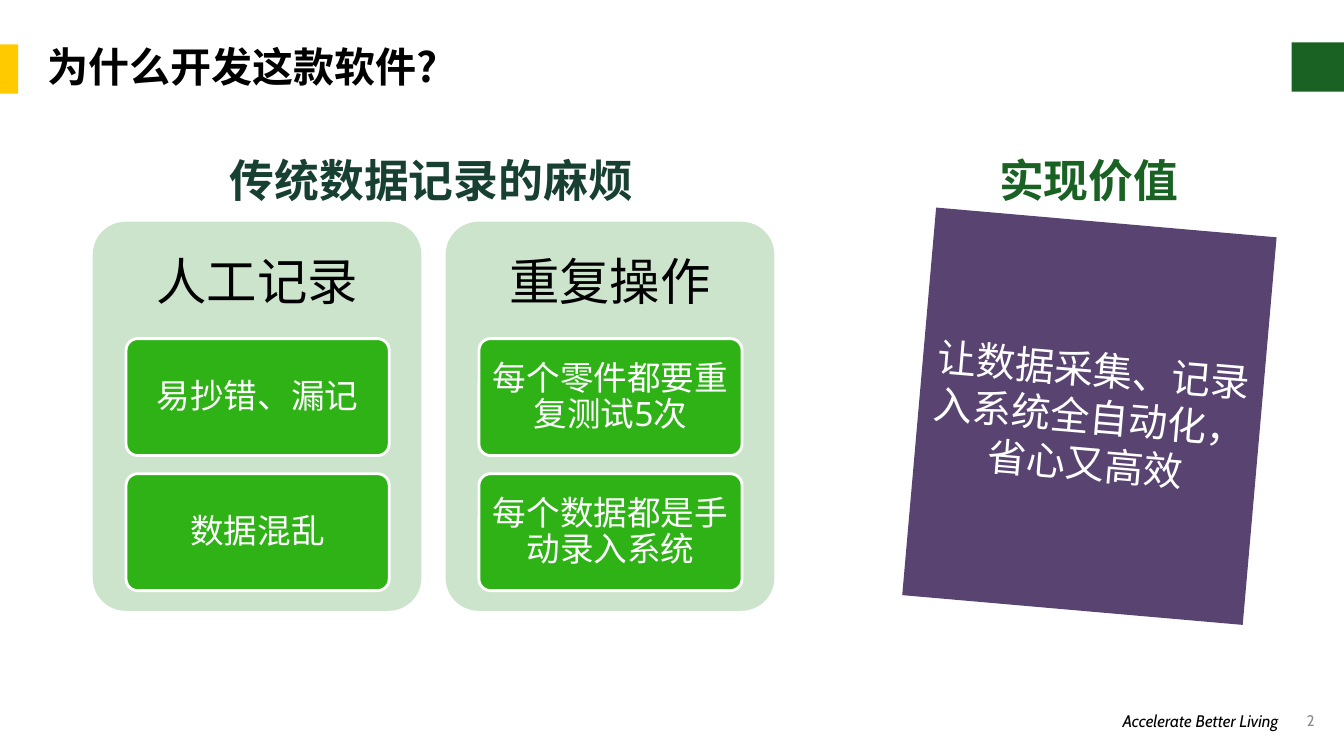
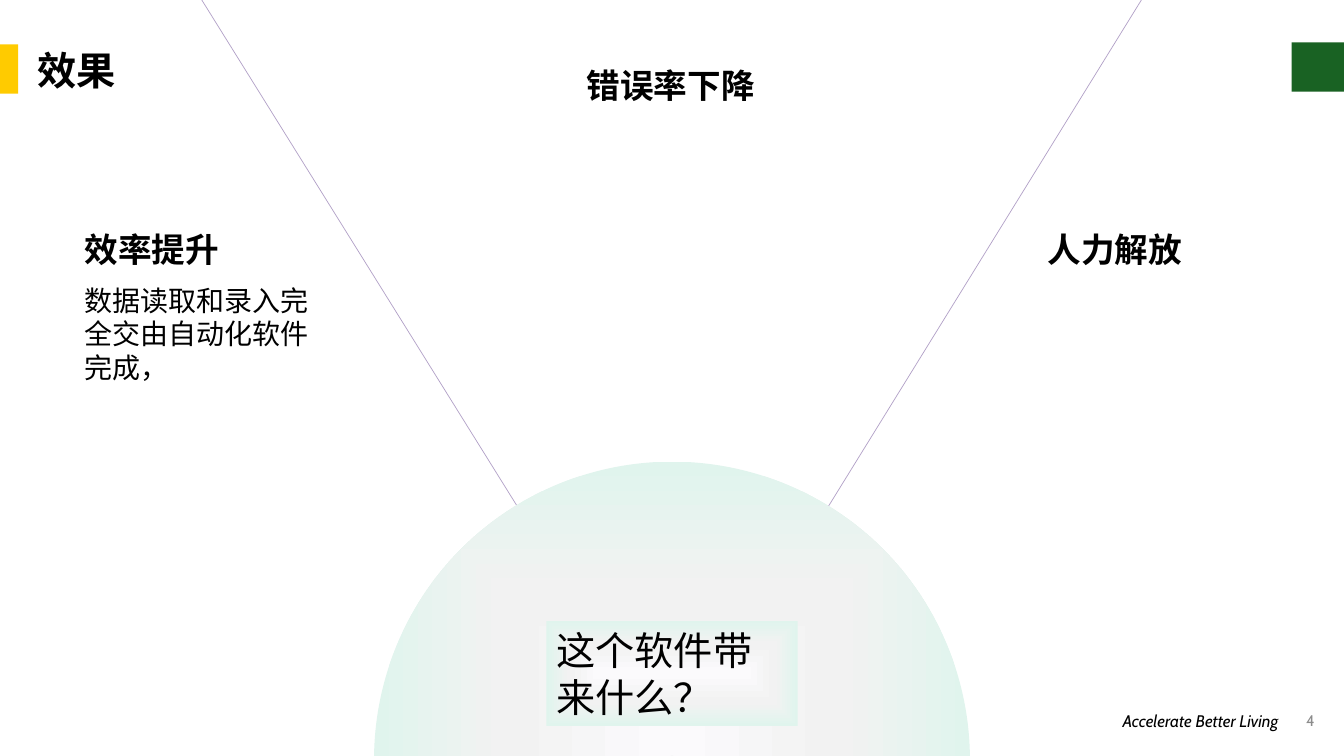
from dataclasses import dataclass

from lxml.etree import SubElement
from pptx import Presentation
from pptx.dml.color import RGBColor
from pptx.enum.shapes import MSO_SHAPE as Preset
from pptx.enum.text import MSO_ANCHOR as Anchor, MSO_AUTO_SIZE as AutoSize, PP_ALIGN as Align
from pptx.oxml import parse_xml
from pptx.oxml.ns import nsdecls, qn
from pptx.shapes.autoshape import Shape
from pptx.slide import Slide
from pptx.util import Inches, Pt

CJK_FONT = "Noto Sans CJK SC"
CARD_FONT = "Noto Sans"
FOOTER_FONT = "Cabin"

COLORS = {
    "black": "000000",
    "white": "FFFFFF",
    "yellow": "FFCB00",
    "green": "196223",
    "dark_green": "174033",
    "card": "2EB216",
    "panel": "CDE4CC",
    "purple": "584371",
    "lilac": "B2A1C7",
    "gray": "8C8C8C",
}
GLOW_STOPS = ((0, "FBFAFC"), (56, "F2F2F2"), (100, "E0F4ED"))


@dataclass(frozen=True)
class Box:
    left: float
    top: float
    width: float
    height: float

    def lengths(self) -> tuple[int, int, int, int]:
        return (Inches(self.left), Inches(self.top),
                Inches(self.width), Inches(self.height))


@dataclass(frozen=True)
class TextStyle:
    size: float
    color: str = "black"
    font: str = CJK_FONT
    bold: bool = False
    italic: bool = False
    align: Align = Align.LEFT
    anchor: Anchor = Anchor.TOP
    inset_x: float = 0.1
    inset_y: float = 0.05
    wrap: bool = True
    leading: float = 1.2


@dataclass(frozen=True)
class Panel:
    heading: str
    items: tuple[str, ...]


@dataclass(frozen=True)
class Label:
    text: str
    box: Box
    style: TextStyle


PANEL_HEADING = TextStyle(36, font=CARD_FONT, align=Align.CENTER, anchor=Anchor.MIDDLE,
                          inset_x=0.15, inset_y=0.15)
CARD_TEXT = TextStyle(24, "white", CARD_FONT, align=Align.CENTER, anchor=Anchor.MIDDLE,
                      inset_x=0.07, leading=1.08)
VALUE_TEXT = TextStyle(28, "white", align=Align.CENTER, anchor=Anchor.MIDDLE)
EFFECT_HEADING = TextStyle(24, bold=True, wrap=False)
SLOGAN = TextStyle(12, font=FOOTER_FONT, italic=True, align=Align.RIGHT,
                   anchor=Anchor.MIDDLE, inset_x=0, inset_y=0)
PAGE_NUMBER = TextStyle(11, "gray", FOOTER_FONT, align=Align.RIGHT,
                        anchor=Anchor.MIDDLE, inset_x=0, inset_y=0.07)

PANELS = (
    Panel("人工记录", ("易抄错、漏记", "数据混乱")),
    Panel("重复操作", ("每个零件都要重复测试5次", "每个数据都是手动录入系统")),
)
REASON_HEADINGS = (
    Label("传统数据记录的麻烦", Box(2.18, 1.47, 4.24, 0.64),
          TextStyle(32, "dark_green", bold=True, wrap=False)),
    Label("实现价值", Box(9.8, 1.47, 2, 0.64),
          TextStyle(32, "green", bold=True, align=Align.CENTER, wrap=False)),
)
EFFECTS = (
    Label("效率提升", Box(0.74, 2.22, 1.55, 0.5), EFFECT_HEADING),
    Label("错误率下降", Box(5.72, 0.59, 1.88, 0.5), EFFECT_HEADING),
    Label("人力解放", Box(10.29, 2.22, 1.55, 0.5), EFFECT_HEADING),
    Label("数据读取和录入完全交由自动化软件完成，", Box(0.74, 2.76, 2.44, 1.11), TextStyle(20)),
)


def color(name: str) -> RGBColor:
    return RGBColor.from_string(COLORS[name])


def write(shape: Shape, text: str, style: TextStyle) -> None:
    frame = shape.text_frame
    frame.auto_size = AutoSize.NONE
    frame.word_wrap = style.wrap
    frame.vertical_anchor = style.anchor
    frame.margin_left = frame.margin_right = Inches(style.inset_x)
    frame.margin_top = frame.margin_bottom = Inches(style.inset_y)
    paragraph = frame.paragraphs[0]
    paragraph.text = text
    paragraph.alignment = style.align
    paragraph.line_spacing = Pt(style.size * style.leading)
    font = paragraph.font
    font.name = style.font
    font.size = Pt(style.size)
    font.bold = style.bold
    font.italic = style.italic
    font.color.rgb = color(style.color)
    defaults = paragraph._p.pPr.find(qn("a:defRPr"))
    SubElement(defaults, qn("a:ea")).set("typeface", CJK_FONT)


def add_text(slide: Slide, label: Label) -> None:
    write(slide.shapes.add_textbox(*label.box.lengths()), label.text, label.style)


def add_shape(slide: Slide, preset: Preset, box: Box, fill: str | None = None,
              line: str | None = None, line_width: float = 1,
              adjustment: float | None = None) -> Shape:
    shape = slide.shapes.add_shape(preset, *box.lengths())
    shape.shadow.inherit = False
    if fill:
        shape.fill.solid()
        shape.fill.fore_color.rgb = color(fill)
    if line:
        shape.line.color.rgb = color(line)
        shape.line.width = Pt(line_width)
    else:
        shape.line.fill.background()
    if adjustment is not None:
        shape.adjustments[0] = adjustment
    return shape


def add_glow(shape: Shape) -> None:
    """Fill the shape with a gradient that runs from its centre to its edges."""
    stops = "".join(
        f'<a:gs pos="{position * 1000}"><a:srgbClr val="{value}"/></a:gs>'
        for position, value in GLOW_STOPS
    )
    gradient = parse_xml(
        f'<a:gradFill {nsdecls("a")} rotWithShape="1"><a:gsLst>{stops}</a:gsLst>'
        '<a:path path="shape"><a:fillToRect l="50000" t="50000" r="50000" b="50000"/>'
        "</a:path></a:gradFill>"
    )
    shape.fill.background()
    properties = shape._element.spPr
    properties.replace(properties.find(qn("a:noFill")), gradient)


def add_slide(presentation: Presentation, number: int) -> Slide:
    """Add a title-only slide with the edge bands and the footer."""
    slide = presentation.slides.add_slide(presentation.slide_layouts[5])
    add_shape(slide, Preset.RECTANGLE, Box(0, 0.44, 0.18, 0.49), "yellow")
    add_shape(slide, Preset.RECTANGLE, Box(12.81, 0.42, 0.52, 0.49), "green")
    add_text(slide, Label(str(number), Box(9.93, 6.95, 3.11, 0.4), PAGE_NUMBER))
    add_text(slide, Label("Accelerate Better Living", Box(9.34, 6.98, 3.34, 0.35), SLOGAN))
    return slide


def set_title(slide: Slide, label: Label) -> None:
    """Fill the title placeholder and bring it to the front."""
    title = slide.shapes.title
    title.left, title.top, title.width, title.height = label.box.lengths()
    write(title, label.text, label.style)
    slide.shapes._spTree.append(title._element)


def add_panel(slide: Slide, panel: Panel, left: float) -> None:
    top, width, row_height, row_step = 2.2, 3.26, 1.16, 1.34
    add_shape(slide, Preset.ROUNDED_RECTANGLE, Box(left, top, width, 3.86), "panel",
              adjustment=0.1)
    add_text(slide, Label(panel.heading, Box(left, top, width, row_height), PANEL_HEADING))
    for row, item in enumerate(panel.items):
        box = Box(left + 0.33, top + row_height + row * row_step, 2.61, row_height)
        card = add_shape(slide, Preset.ROUNDED_RECTANGLE, box, "card", "white", 2, 0.1)
        write(card, item, CARD_TEXT)


def build_reasons(presentation: Presentation) -> None:
    slide = add_slide(presentation, 2)
    set_title(slide, Label("为什么开发这款软件?", Box(0.37, 0.36, 10.37, 0.52),
                           TextStyle(29.3, bold=True)))
    for column, panel in enumerate(PANELS):
        add_panel(slide, panel, 0.92 + 3.5 * column)
    for heading in REASON_HEADINGS:
        add_text(slide, heading)
    value = add_shape(slide, Preset.RECTANGLE, Box(9.11, 2.2, 3.39, 3.86), "purple")
    value.rotation = 5
    write(value, "让数据采集、记录入系统全自动化，省心又高效", VALUE_TEXT)


def build_effects(presentation: Presentation) -> None:
    slide = add_slide(presentation, 4)
    funnel = add_shape(slide, Preset.ISOSCELES_TRIANGLE, Box(1.74, -0.42, 9.84, 7.93),
                       "white", "lilac", 0.5, 0.498)
    funnel.rotation = 180
    add_glow(add_shape(slide, Preset.DONUT, Box(3.71, 4.58, 5.91, 5.91), adjustment=0.493))
    question = add_shape(slide, Preset.RECTANGLE, Box(5.42, 6.16, 2.49, 1.04))
    add_glow(question)
    write(question, "这个软件带来什么？", TextStyle(28))
    set_title(slide, Label("效果", Box(0.37, 0.3, 12, 0.78),
                           TextStyle(28, bold=True, anchor=Anchor.MIDDLE,
                                     inset_x=0, inset_y=0.07)))
    for effect in EFFECTS:
        add_text(slide, effect)


def main() -> None:
    presentation = Presentation()
    presentation.slide_width = Inches(13.33)
    presentation.slide_height = Inches(7.5)
    build_reasons(presentation)
    build_effects(presentation)
    presentation.save("out.pptx")


if __name__ == "__main__":
    main()
